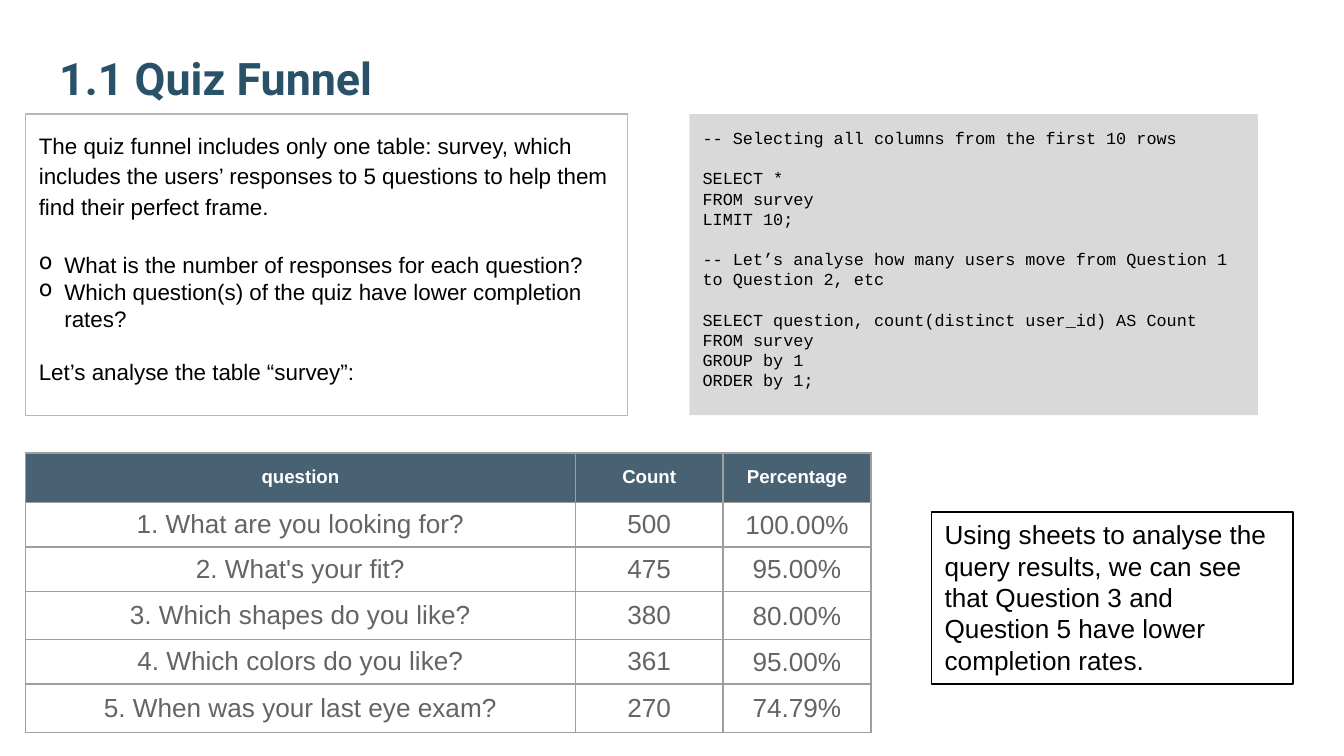
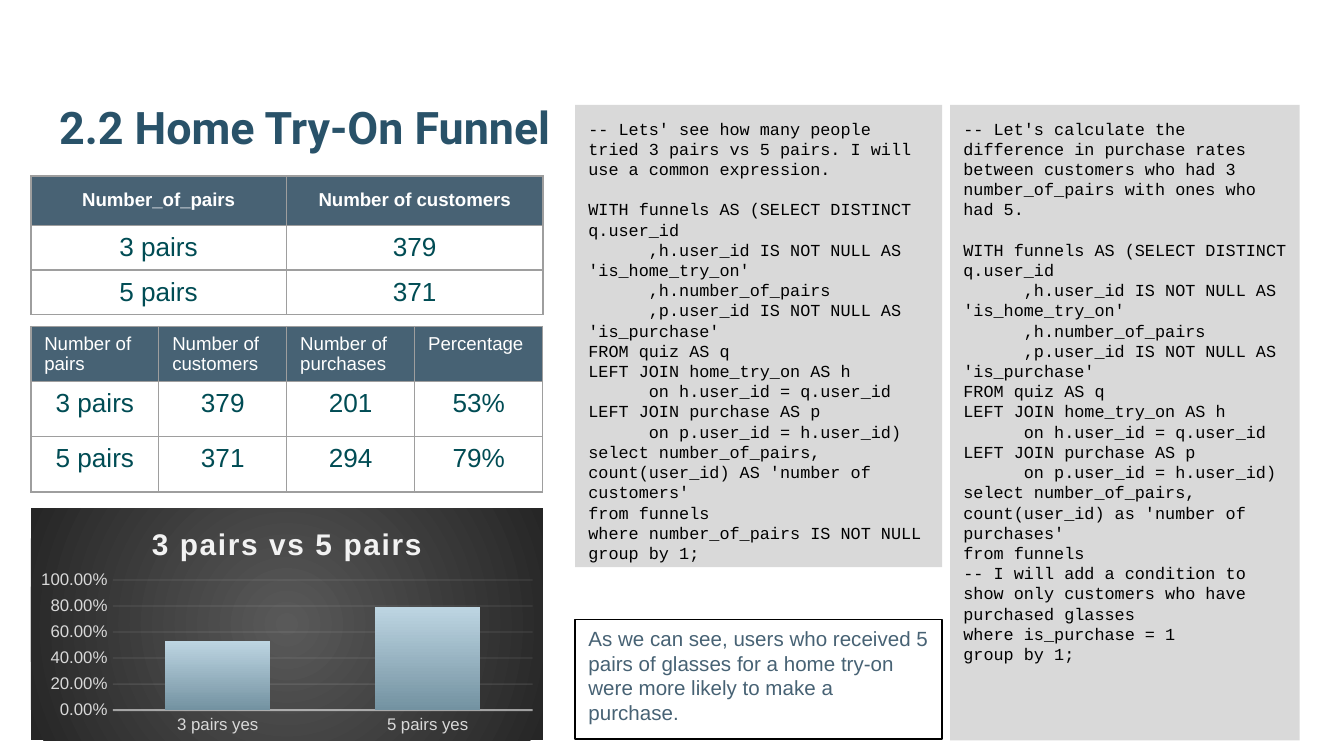
from dataclasses import dataclass
from typing import Optional, Sequence

from lxml.etree import fromstring
from pptx import Presentation
from pptx.chart.data import CategoryChartData
from pptx.dml.color import RGBColor
from pptx.enum.chart import XL_CHART_TYPE, XL_TICK_MARK
from pptx.enum.shapes import MSO_SHAPE
from pptx.enum.text import MSO_ANCHOR, MSO_AUTO_SIZE, PP_ALIGN
from pptx.oxml.ns import nsdecls, qn
from pptx.util import Inches, Pt

SLIDE_WIDTH, SLIDE_HEIGHT = Inches(10), Inches(5.625)
COLUMNS, ROWS = 100, 56.25
COLUMN, ROW = SLIDE_WIDTH / COLUMNS, SLIDE_HEIGHT / ROWS

BLACK = RGBColor(0x00, 0x00, 0x00)
WHITE = RGBColor(0xFF, 0xFF, 0xFF)
TITLE_BLUE = RGBColor(0x29, 0x52, 0x69)
HEADER_NAVY = RGBColor(0x20, 0x40, 0x56)
SLATE = RGBColor(0x47, 0x62, 0x74)
TEAL = RGBColor(0x00, 0x4C, 0x54)
BODY_GRAY = RGBColor(0x64, 0x64, 0x66)
CODE_GRAY = RGBColor(0xD9, 0xD9, 0xD9)
FRAME_GRAY = RGBColor(0xB7, 0xB7, 0xB7)
CELL_LINE = RGBColor(0x9E, 0x9E, 0x9E)
CHART_LIGHT = RGBColor(0xF2, 0xF2, 0xF2)
BAR_DARK = RGBColor(0x73, 0x92, 0xA1)
BAR_LIGHT = RGBColor(0xBD, 0xD5, 0xE2)

TITLE_FONT, BODY_FONT, CODE_FONT = "Roboto", "Arial", "Courier New"
WIDE_INSETS = (0.1, 0.1, 0.1, 0.1)
NORMAL_INSETS = (0.1, 0.05, 0.1, 0.05)
TIGHT_INSETS = (0.01, 0.01, 0.01, 0)


@dataclass(frozen=True)
class Box:
    left: float
    top: float
    width: float
    height: float

    def place(self) -> tuple[int, int, int, int]:
        return (round(self.left * COLUMN), round(self.top * ROW),
                round(self.width * COLUMN), round(self.height * ROW))


@dataclass(frozen=True)
class Line:
    text: str
    gap: float = 0
    bullet: bool = False
    spacing: Optional[float] = None


@dataclass(frozen=True)
class Panel:
    box: Box
    lines: Sequence[Line]
    size: float
    font: str = BODY_FONT
    color: RGBColor = BLACK
    fill: Optional[RGBColor] = None
    outline: Optional[RGBColor] = None
    outline_width: float = 0.75
    insets: tuple = WIDE_INSETS
    grow: bool = False


@dataclass(frozen=True)
class Grid:
    left: float
    top: float
    widths: Sequence[float]
    heights: Sequence[float]
    rows: Sequence[Sequence[str]]
    body_color: RGBColor
    header_fill: RGBColor = HEADER_NAVY
    header_alpha: Optional[int] = 82
    header_bold: bool = True
    header_align: PP_ALIGN = PP_ALIGN.CENTER
    header_insets: tuple = WIDE_INSETS
    body_anchor: MSO_ANCHOR = MSO_ANCHOR.MIDDLE
    tight_columns: tuple = ()


def set_alpha(element, percent: int) -> None:
    for color in element.iter(qn("a:srgbClr")):
        color.append(fromstring(f'<a:alpha {nsdecls("a")} val="{percent * 1000}"/>'))


def set_font(font, name: str, size: float, color: RGBColor, bold: bool = False) -> None:
    font.name, font.size, font.bold = name, Pt(size), bold
    font.color.rgb = color


def set_insets(target, insets: tuple) -> None:
    (target.margin_left, target.margin_top,
     target.margin_right, target.margin_bottom) = map(Inches, insets)


def add_bullet(paragraph) -> None:
    properties = paragraph._p.get_or_add_pPr()
    properties.set("marL", str(Inches(0.19)))
    properties.set("indent", str(-Inches(0.19)))
    for markup in (f'<a:buClr {nsdecls("a")}><a:srgbClr val="{BLACK}"/></a:buClr>',
                   f'<a:buChar {nsdecls("a")} char="o"/>'):
        properties.append(fromstring(markup))


def add_title(slide, text: str, box: Box) -> None:
    title = slide.shapes.title
    title.left, title.top, title.width, title.height = box.place()
    frame = title.text_frame
    frame.text = text
    frame.word_wrap = True
    frame.auto_size = MSO_AUTO_SIZE.NONE
    frame.vertical_anchor = MSO_ANCHOR.BOTTOM
    set_insets(frame, WIDE_INSETS)
    paragraph = frame.paragraphs[0]
    paragraph.alignment = PP_ALIGN.LEFT
    set_font(paragraph.runs[0].font, TITLE_FONT, 24, TITLE_BLUE, True)


def add_panel(slide, panel: Panel) -> None:
    shape = slide.shapes.add_shape(MSO_SHAPE.RECTANGLE, *panel.box.place())
    shape.shadow.inherit = False
    if panel.fill is None:
        shape.fill.background()
    else:
        shape.fill.solid()
        shape.fill.fore_color.rgb = panel.fill
    if panel.outline is None:
        shape.line.fill.background()
    else:
        shape.line.color.rgb = panel.outline
        shape.line.width = Pt(panel.outline_width)
    frame = shape.text_frame
    frame.word_wrap = True
    frame.vertical_anchor = MSO_ANCHOR.TOP
    frame.auto_size = MSO_AUTO_SIZE.SHAPE_TO_FIT_TEXT if panel.grow else MSO_AUTO_SIZE.NONE
    set_insets(frame, panel.insets)
    frame.text = "\n".join(line.text for line in panel.lines)
    for paragraph, line in zip(frame.paragraphs, panel.lines):
        paragraph.alignment = PP_ALIGN.LEFT
        if line.spacing:
            paragraph.line_spacing = line.spacing
        if line.gap:
            paragraph.space_before = Pt(line.gap)
        if line.bullet:
            add_bullet(paragraph)
        set_font(paragraph.runs[0].font, panel.font, panel.size, panel.color)


def code_panel(box: Box, blocks: Sequence[Sequence[str]]) -> Panel:
    lines = [Line(text, gap=10.8 if block_index and not line_index else 0)
             for block_index, block in enumerate(blocks)
             for line_index, text in enumerate(block)]
    return Panel(box, lines, 9, font=CODE_FONT, fill=CODE_GRAY)


def add_cell_borders(cell) -> None:
    properties = cell._tc.get_or_add_tcPr()
    for index, side in enumerate(("lnL", "lnR", "lnT", "lnB")):
        properties.insert(index, fromstring(
            f'<a:{side} {nsdecls("a")} w="{Pt(0.75)}"><a:solidFill>'
            f'<a:srgbClr val="{CELL_LINE}"/></a:solidFill></a:{side}>'))


def add_grid(slide, grid: Grid) -> None:
    box = Box(grid.left, grid.top, sum(grid.widths), sum(grid.heights))
    table = slide.shapes.add_table(len(grid.heights), len(grid.widths), *box.place()).table
    table.first_row = table.horz_banding = False
    for column, width in zip(table.columns, grid.widths):
        column.width = round(width * COLUMN)
    for row, height in zip(table.rows, grid.heights):
        row.height = round(height * ROW)
    for row_index, texts in enumerate(grid.rows):
        header = row_index == 0
        for column_index, text in enumerate(texts):
            cell = table.cell(row_index, column_index)
            cell.text = text
            paragraph = cell.text_frame.paragraphs[0]
            font = paragraph.runs[0].font
            if header:
                cell.fill.solid()
                cell.fill.fore_color.rgb = grid.header_fill
                if grid.header_alpha:
                    set_alpha(cell._tc.tcPr, grid.header_alpha)
                set_insets(cell, grid.header_insets)
                paragraph.alignment = grid.header_align
                set_font(font, BODY_FONT, 10, WHITE, grid.header_bold)
            else:
                cell.fill.background()
                cell.vertical_anchor = grid.body_anchor
                set_insets(cell, TIGHT_INSETS if column_index in grid.tight_columns
                           else NORMAL_INSETS)
                paragraph.alignment = PP_ALIGN.CENTER
                set_font(font, BODY_FONT, 14, grid.body_color)
            add_cell_borders(cell)


def add_pairs_chart(slide, box: Box) -> None:
    data = CategoryChartData(number_format="0.00%")
    data.categories = ["3 pairs yes", "5 pairs yes"]
    data.add_series("Series 1", (0.53, 0.79))
    chart = slide.shapes.add_chart(XL_CHART_TYPE.COLUMN_CLUSTERED, *box.place(), data).chart
    set_font(chart.font, BODY_FONT, 10, BLACK)
    chart.has_legend = False
    chart.has_title = True
    chart.chart_title.include_in_layout = False
    chart.chart_title.text_frame.text = "3 pairs vs 5 pairs"
    run = chart.chart_title.text_frame.paragraphs[0].runs[0]
    set_font(run.font, BODY_FONT, 16, CHART_LIGHT, True)
    run._r.get_or_add_rPr().set("spc", "100")

    for axis in (chart.category_axis, chart.value_axis):
        axis.major_tick_mark = axis.minor_tick_mark = XL_TICK_MARK.NONE
        set_font(axis.tick_labels.font, BODY_FONT, 9, CODE_GRAY)
    values = chart.value_axis
    values.minimum_scale, values.maximum_scale, values.major_unit = 0, 1, 0.2
    values.tick_labels.number_format = "0.00%"
    values.tick_labels.number_format_is_linked = False
    values.format.line.fill.background()
    values.has_major_gridlines = True
    for line, width, alpha in ((chart.category_axis.format.line, 1, 54),
                               (values.major_gridlines.format.line, 0.75, 10)):
        line.color.rgb = CHART_LIGHT
        line.width = Pt(width)
        set_alpha(line._ln, alpha)

    plot = chart.plots[0]
    plot.gap_width, plot.overlap, plot.vary_by_categories = 100, -24, False
    fill = plot.series[0].format.fill
    fill.gradient()
    fill.gradient_angle = 90
    for stop, color, position in zip(fill.gradient_stops, (BAR_DARK, BAR_LIGHT), (0, 1)):
        stop.color.rgb, stop.position = color, position

    space = chart._chartSpace
    area = space.chart.plotArea
    for layout in area.findall(qn("c:layout")):
        area.remove(layout)
    shares = {"x": 0.16, "y": 0.31, "w": 0.82, "h": 0.56}
    area.insert(0, fromstring(
        f'<c:layout {nsdecls("c")}><c:manualLayout><c:layoutTarget val="inner"/>'
        '<c:xMode val="edge"/><c:yMode val="edge"/>'
        + "".join(f'<c:{name} val="{share}"/>' for name, share in shares.items())
        + "</c:manualLayout></c:layout>"))
    space.chart.addnext(fromstring(
        f'<c:spPr {nsdecls("c", "a")}><a:gradFill><a:gsLst>'
        '<a:gs pos="0"><a:srgbClr val="595959"/></a:gs>'
        '<a:gs pos="100000"><a:srgbClr val="262626"/></a:gs></a:gsLst>'
        '<a:path path="circle"><a:fillToRect l="50000" t="50000" r="50000" b="50000"/></a:path>'
        "</a:gradFill><a:ln><a:noFill/></a:ln></c:spPr>"))


def build_quiz_funnel(slide) -> None:
    add_title(slide, "1.1 Quiz Funnel", Box(3.4, 3.2, 93.2, 5.6))
    add_panel(slide, Panel(Box(1.9, 8.5, 44.8, 22.4), [
        Line("The quiz funnel includes only one table: survey, which includes the users’ "
             "responses to 5 questions to help them find their perfect frame.", spacing=1.15),
        Line("What is the number of responses for each question?", gap=16.5, bullet=True),
        Line("Which question(s) of the quiz have lower completion rates?", bullet=True),
        Line("Let’s analyse the table “survey”:", gap=14),
    ], 12, outline=FRAME_GRAY))
    add_grid(slide, Grid(1.9, 33.7, (40.9, 11, 11), (3.7, 3.3, 3.3, 3.6, 3.3, 3.6), [
        ("question", "Count", "Percentage"),
        ("1. What are you looking for?", "500", "100.00%"),
        ("2. What's your fit?", "475", "95.00%"),
        ("3. Which shapes do you like?", "380", "80.00%"),
        ("4. Which colors do you like?", "361", "95.00%"),
        ("5. When was your last eye exam?", "270", "74.79%"),
    ], BODY_GRAY, tight_columns=(2,)))
    add_panel(slide, code_panel(Box(51.3, 8.5, 42.3, 22.4), [
        ["-- Selecting all columns from the first 10 rows"],
        ["SELECT *", "FROM survey", "LIMIT 10;"],
        ["-- Let’s analyse how many users move from Question 1 to Question 2, etc"],
        ["SELECT question, count(distinct user_id) AS Count",
         "FROM survey", "GROUP by 1", "ORDER by 1;"],
    ]))
    add_panel(slide, Panel(Box(69.3, 38.1, 26.9, 12.8), [
        Line("Using sheets to analyse the query results, we can see that Question 3 and "
             "Question 5 have lower completion rates."),
    ], 14, outline=BLACK, insets=NORMAL_INSETS, grow=True))


def build_home_try_on_funnel(slide) -> None:
    add_title(slide, "2.2 Home Try-On Funnel", Box(3.4, 3.2, 93.2, 9.2))
    funnels_query = [
        "WITH funnels AS (SELECT DISTINCT q.user_id",
        "      ,h.user_id IS NOT NULL AS 'is_home_try_on'",
        "      ,h.number_of_pairs",
        "      ,p.user_id IS NOT NULL AS 'is_purchase'",
        "FROM quiz AS q",
        "LEFT JOIN home_try_on AS h",
        "      on h.user_id = q.user_id",
        "LEFT JOIN purchase AS p",
        "      on p.user_id = h.user_id)",
    ]
    add_panel(slide, code_panel(Box(42.8, 7.8, 27.3, 34.4), [
        ["-- Lets' see how many people tried 3 pairs vs 5 pairs. I will use a common expression."],
        [*funnels_query, "select number_of_pairs, count(user_id) AS 'number of customers'",
         "from funnels", "where number_of_pairs IS NOT NULL", "group by 1;"],
    ]))
    add_panel(slide, code_panel(Box(70.7, 7.8, 26, 47.3), [
        ["-- Let's calculate the difference in purchase rates between customers who had 3 "
         "number_of_pairs with ones who had 5."],
        [*funnels_query, "select number_of_pairs, count(user_id) as 'number of purchases'",
         "from funnels",
         "-- I will add a condition to show only customers who have purchased glasses",
         "where is_purchase = 1", "group by 1;"],
    ]))
    add_grid(slide, Grid(2.3, 13.1, (19, 19.1), (3.7, 3.3, 3.3), [
        ("Number_of_pairs", "Number of customers"),
        ("3 pairs", "379"),
        ("5 pairs", "371"),
    ], TEAL))
    add_grid(slide, Grid(2.3, 24.3, (9.52,) * 4, (4.1,) * 3, [
        ("Number of pairs", "Number of customers", "Number of purchases", "Percentage"),
        ("3 pairs", "379", "201", "53%"),
        ("5 pairs", "371", "294", "79%"),
    ], TEAL, header_fill=SLATE, header_alpha=None, header_bold=False,
        header_align=PP_ALIGN.LEFT, header_insets=NORMAL_INSETS, body_anchor=MSO_ANCHOR.TOP))
    add_pairs_chart(slide, Box(2.3, 37.8, 38.1, 17.3))
    add_panel(slide, Panel(Box(42.8, 46.1, 27.3, 8.9), [
        Line("As we can see, users who received 5 pairs of glasses for a home try-on were "
             "more likely to make a purchase."),
    ], 11, color=SLATE, fill=WHITE, outline=BLACK, outline_width=1,
        insets=NORMAL_INSETS, grow=True))


def main() -> None:
    presentation = Presentation()
    presentation.slide_width, presentation.slide_height = SLIDE_WIDTH, SLIDE_HEIGHT
    title_only = presentation.slide_layouts[5]
    for build in (build_quiz_funnel, build_home_try_on_funnel):
        build(presentation.slides.add_slide(title_only))
    presentation.save("out.pptx")


if __name__ == "__main__":
    main()
